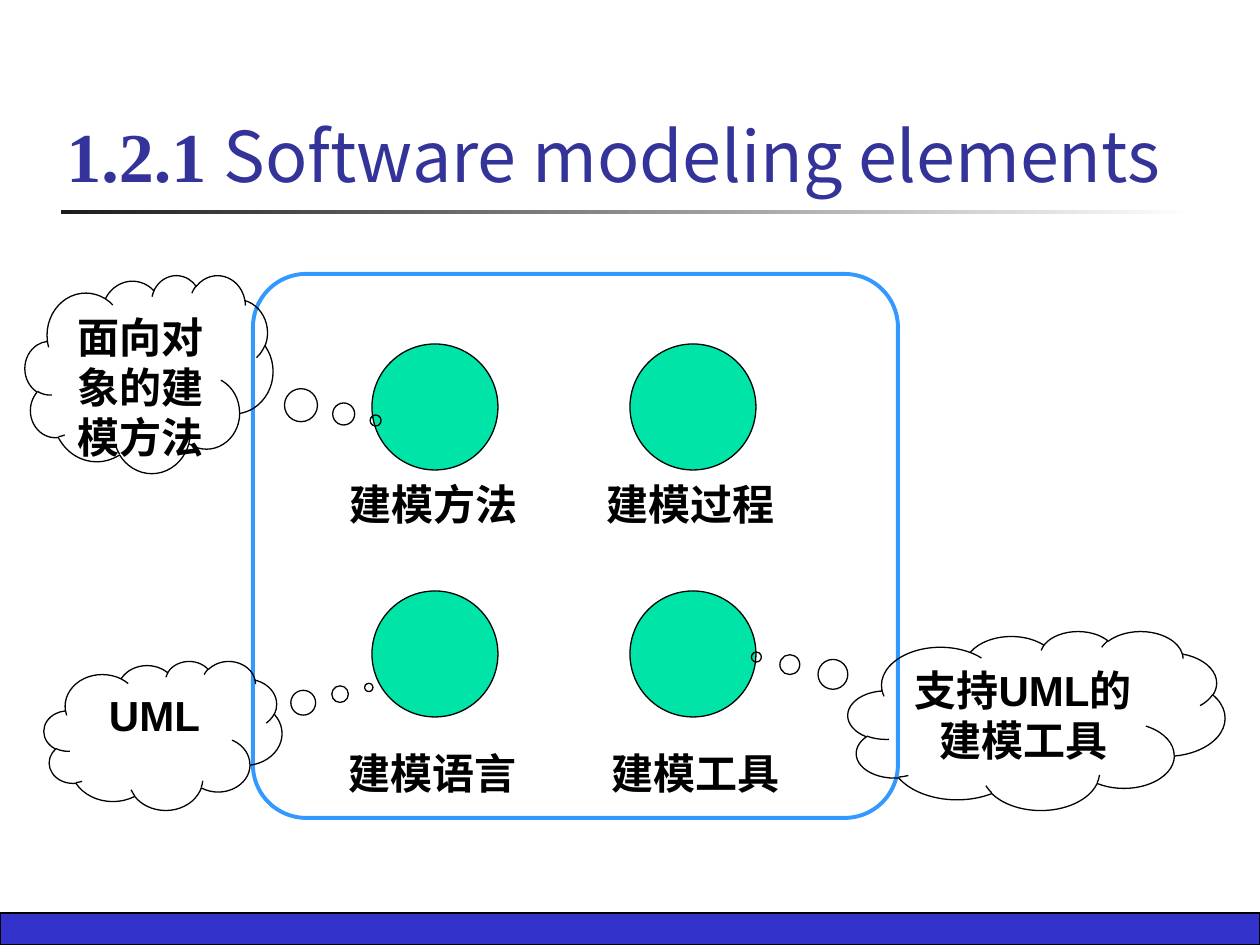
from pptx import Presentation
from pptx.dml.color import RGBColor
from pptx.enum.shapes import MSO_SHAPE as Preset
from pptx.enum.text import MSO_ANCHOR as Anchor, PP_ALIGN as Align
from pptx.oxml.ns import qn
from pptx.util import Emu, Pt
from lxml.etree import SubElement

EMU_PER_PX = 914400 / 126
BLACK = "000000"
CIRCLE_SIZE = 126
CIRCLES = [(372, 344), (630, 344), (372, 591), (630, 591)]
LABELS = [
    ("建模方法", (310, 472, 248, 63)),
    ("建模过程", (577, 472, 228, 63)),
    ("建模语言", (319, 741, 228, 63)),
    ("建模工具", (587, 741, 218, 63)),
]
CLOUDS = [
    ("面向对象的建模方法", (25, 275, 248, 198), (0.914, 0.235)),
    ("支持UML的建模工具", (848, 631, 377, 179), (-0.743, -0.354)),
    ("UML", (44, 661, 238, 149), (0.865, -0.322)),
]


def px(length):
    """Turn pixels into EMU."""
    return Emu(round(length * EMU_PER_PX))


def color(value):
    """Turn a hex string into a colour."""
    return RGBColor.from_string(value)


def apply_format(target, values):
    """Set each attribute named in values."""
    for name, value in values.items():
        setattr(target, name, value)


def add_preset(slide, preset, box, fill=None, line=None, width=0.75, adjustments=()):
    """Add a preset shape without shadow."""
    shape = slide.shapes.add_shape(preset, *map(px, box))
    shape.shadow.inherit = False
    for index, value in enumerate(adjustments):
        shape.adjustments[index] = value
    if fill:
        shape.fill.solid()
        shape.fill.fore_color.rgb = color(fill)
    else:
        shape.fill.background()
    if line:
        shape.line.color.rgb = color(line)
        shape.line.width = Pt(width)
    else:
        shape.line.fill.background()
    return shape


def add_run(paragraph, text, font, size=24, text_color=BLACK, bold=True):
    """Add a run with one font for Latin and East Asian text."""
    run = paragraph.add_run()
    run.text = text
    apply_format(run.font, {"name": font, "size": Pt(size), "bold": bold})
    run.font.color.rgb = color(text_color)
    SubElement(run.font._element, qn("a:ea"), typeface=font)


def prepare_text(shape, anchor=Anchor.TOP, alignment=Align.CENTER):
    """Set wrapping, anchor and alignment, and return the first paragraph."""
    frame = shape.text_frame
    apply_format(frame, {"word_wrap": True, "vertical_anchor": anchor})
    paragraph = frame.paragraphs[0]
    paragraph.alignment = alignment
    return paragraph


def add_title(slide):
    """Add the heading and the fading rule below it."""
    rule = add_preset(slide, Preset.RECTANGLE, (61, 210, 1134, 4))
    rule.fill.gradient()
    rule.fill.gradient_angle = 0
    for stop, value in zip(rule.fill.gradient_stops, ("1C1C1C", "FFFFFF")):
        stop.color.rgb = color(value)
    heading = slide.shapes.add_textbox(*map(px, (54, 45, 1125, 158)))
    paragraph = prepare_text(heading, Anchor.BOTTOM, Align.LEFT)
    add_run(paragraph, "1.2.1 ", "Times New Roman", 40, "333399")
    add_run(paragraph, "Software modeling elements", "Noto Sans CJK SC", 40, "333399", False)


def add_label(slide, text, box):
    """Add a centred caption for a circle."""
    label = slide.shapes.add_textbox(*map(px, box))
    add_run(prepare_text(label), text, "Karla")


def add_cloud(slide, text, box, pointer):
    """Add a thought cloud pointing at a circle."""
    cloud = add_preset(slide, Preset.CLOUD_CALLOUT, box, line=BLACK, adjustments=pointer)
    add_run(prepare_text(cloud), text, "Arial")


def main():
    """Build and save the slide."""
    presentation = Presentation()
    apply_format(presentation, {"slide_width": px(1260), "slide_height": px(945)})
    slide = presentation.slides.add_slide(presentation.slide_layouts[6])
    add_preset(slide, Preset.RECTANGLE, (0, 913, 1260, 32), "3333CC", BLACK)
    add_title(slide)
    add_preset(slide, Preset.ROUNDED_RECTANGLE, (253, 274, 645, 544),
               line="3399FF", width=2.25, adjustments=(0.098,))
    for left, top in CIRCLES:
        add_preset(slide, Preset.OVAL, (left, top, CIRCLE_SIZE, CIRCLE_SIZE), "00E4A8", BLACK)
    for text, box in LABELS:
        add_label(slide, text, box)
    for text, box, pointer in CLOUDS:
        add_cloud(slide, text, box, pointer)
    presentation.save("out.pptx")


if __name__ == "__main__":
    main()
